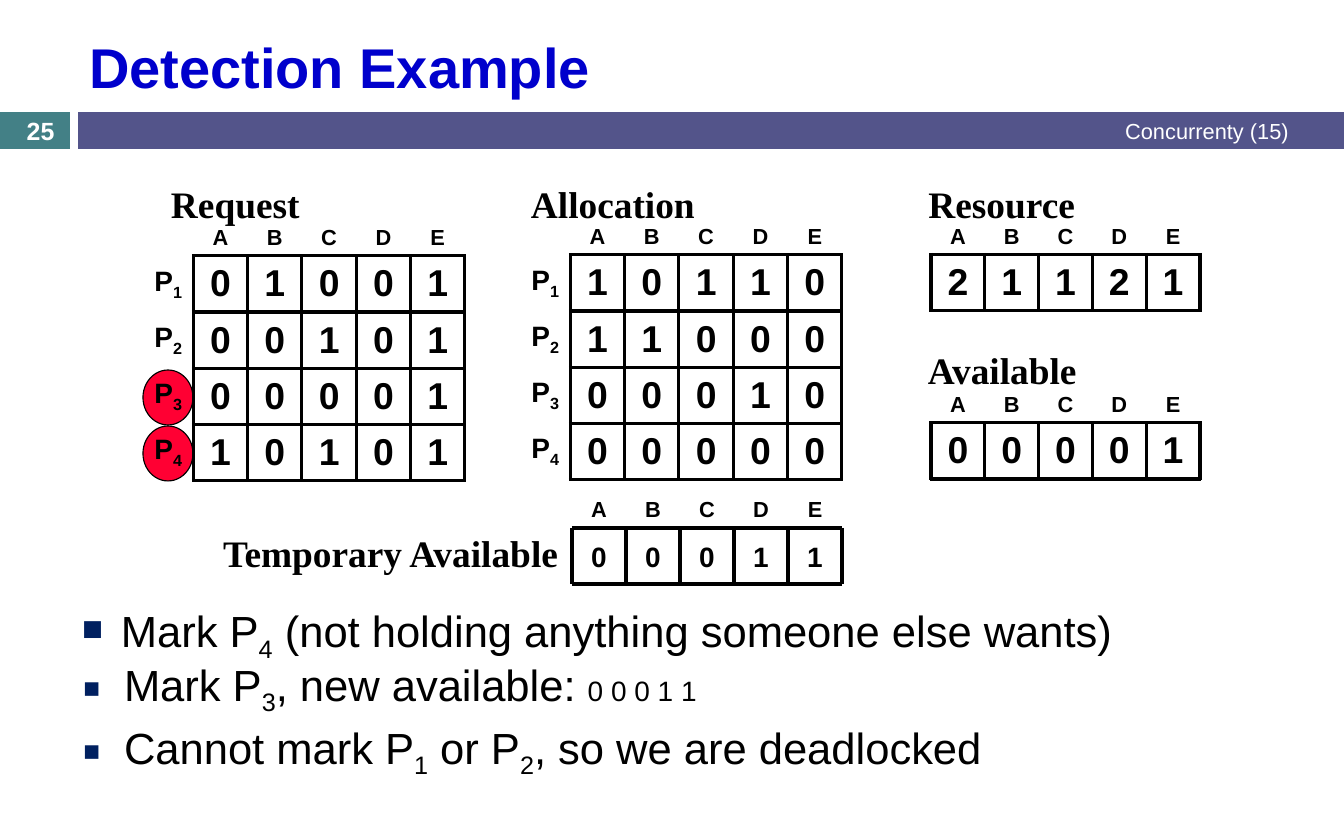
from lxml import etree
from pptx import Presentation
from pptx import util as u
from pptx.dml import color as dml
from pptx.enum import shapes, text
from pptx.oxml import ns

SCALE = 914400 / 112
BLACK, WHITE, NAVY = "000000", "FFFFFF", "002060"
LETTERS = "ABCDE"
LINE_WIDTH = 2.25
NO_STYLE = "{2D5ABB26-0587-4C30-8999-92F81FD0307C}"
LEFT, CENTER, RIGHT = text.PP_ALIGN.LEFT, text.PP_ALIGN.CENTER, text.PP_ALIGN.RIGHT
TOP, MIDDLE, BOTTOM = text.MSO_ANCHOR.TOP, text.MSO_ANCHOR.MIDDLE, text.MSO_ANCHOR.BOTTOM

HEADING = {"name": "Times New Roman", "size": u.Pt(24), "bold": True}
LETTER = {"name": "Arial", "size": u.Pt(14), "bold": True}
PROCESS = {**LETTER, "size": u.Pt(18)}
VALUE = {**LETTER, "size": u.Pt(24)}
BODY = {"name": "Arial", "size": u.Pt(28), "bold": False}


def px(length):
    """Turn px into EMU."""
    return u.Emu(round(length * SCALE))


def rgb(value):
    """Turn a hex string into a colour."""
    return dml.RGBColor.from_string(value)


def add_spans(para, marked, fmt, color=BLACK):
    """Add text to a paragraph, with the parts between ~ marks as subscripts."""
    for index, part in enumerate(marked.split("~")):
        if not part:
            continue
        span = para.add_run()
        span.text = part
        for name, value in fmt.items():
            setattr(span.font, name, value)
        span.font.color.rgb = rgb(color)
        if index % 2:
            span._r.get_or_add_rPr().set("baseline", "-25000")


def fill_frame(frame, marked, fmt, align=LEFT, anchor=TOP, color=BLACK):
    """Write one formatted paragraph in a text frame and return it."""
    frame.word_wrap = True
    frame.vertical_anchor = anchor
    para = frame.paragraphs[0]
    para.alignment = align
    add_spans(para, marked, fmt, color)
    return para


def add_label(parent, box, marked, fmt, align=LEFT, anchor=TOP, color=BLACK):
    """Add a text box and return its paragraph."""
    label = parent.shapes.add_textbox(*map(px, box))
    return fill_frame(label.text_frame, marked, fmt, align, anchor, color)


def add_block(parent, kind, box, fill, line=None):
    """Add a flat filled shape, outlined only when a line colour is given."""
    block = parent.shapes.add_shape(kind, *map(px, box))
    block.shadow.inherit = False
    block.fill.solid()
    block.fill.fore_color.rgb = rgb(fill)
    if line:
        block.line.color.rgb = rgb(line)
        block.line.width = u.Pt(0.75)
    else:
        block.line.fill.background()
    return block


def add_rule(parent, x1, y1, x2, y2):
    """Add a black straight line."""
    rule = parent.shapes.add_connector(
        shapes.MSO_CONNECTOR.STRAIGHT, px(x1), px(y1), px(x2), px(y2))
    rule.line.color.rgb = rgb(BLACK)
    rule.line.width = u.Pt(LINE_WIDTH)
    etree.SubElement(rule._element.spPr, ns.qn("a:effectLst"))


def format_cell(cell, marked, fmt, align, anchor, sides, filled):
    """Write a table cell and draw its borders on the given sides."""
    fill_frame(cell.text_frame, marked, fmt, align, TOP)
    cell.vertical_anchor = anchor
    props = cell._tc.get_or_add_tcPr()
    for side in sides:
        line = etree.SubElement(props, ns.qn("a:ln" + side), w=str(u.Pt(LINE_WIDTH)))
        solid = etree.SubElement(line, ns.qn("a:solidFill"))
        etree.SubElement(solid, ns.qn("a:srgbClr"), val=BLACK)
    if filled:
        cell.fill.solid()
        cell.fill.fore_color.rgb = rgb(WHITE)
    else:
        cell.fill.background()


def add_matrix(page, box, header, rows, with_processes=False):
    """Add a table of values under letters, with process names if wanted."""
    first = int(with_processes)
    columns = len(LETTERS) + first
    frame = page.shapes.add_table(len(rows) + 1, columns, *map(px, box))
    table = frame.table
    table.first_row = table.horz_banding = False
    table._tbl.tblPr.find(ns.qn("a:tableStyleId")).text = NO_STYLE
    for column in table.columns:
        column.width = px(box[2] / columns)
    table.rows[0].height = px(header)
    for column, letter in enumerate(LETTERS, first):
        format_cell(table.cell(0, column), letter, LETTER, CENTER, BOTTOM, "B", False)
    if with_processes:
        format_cell(table.cell(0, 0), "", LETTER, CENTER, BOTTOM, "", False)
    for row, values in enumerate(rows, 1):
        table.rows[row].height = px((box[3] - header) / len(rows))
        if with_processes:
            format_cell(table.cell(row, 0), f"P~{row}~", PROCESS, RIGHT, MIDDLE, "R", False)
        for column, value in enumerate(values, first):
            format_cell(table.cell(row, column), value, VALUE, CENTER, MIDDLE, "LRTB", True)


def add_strip(page, box, values):
    """Add a ruled row of values with a letter above each."""
    left, top, width, height = box
    step = width / len(values)
    group = page.shapes.add_group_shape()
    for index, (letter, value) in enumerate(zip(LETTERS, values)):
        x = left + index * step
        add_label(group, (x, top - 40, step, 39), letter, LETTER, CENTER, BOTTOM)
        block = add_block(group, shapes.MSO_SHAPE.RECTANGLE, (x, top, step, height), WHITE)
        fill_frame(block.text_frame, value, PROCESS, CENTER, MIDDLE)
    for index in range(len(values) + 1):
        x = left + index * step
        add_rule(group, x, top, x, top + height)
    for y in (top, top + height):
        add_rule(group, left, y, left + width, y)


def add_bullet(page, box, marked, char, size, indent, before):
    """Add one bulleted line and return its paragraph."""
    para = add_label(page, box, marked, BODY)
    para.space_before = u.Pt(before)
    props = para._p.get_or_add_pPr()
    props.set("marL", str(px(indent)))
    props.set("indent", str(-px(indent)))
    color = etree.SubElement(props, ns.qn("a:buClr"))
    etree.SubElement(color, ns.qn("a:srgbClr"), val=NAVY)
    etree.SubElement(props, ns.qn("a:buSzPct"), val=str(size * 1000))
    etree.SubElement(props, ns.qn("a:buFont"), typeface="Arial")
    etree.SubElement(props, ns.qn("a:buChar"), char=char)
    return para


def add_header(page):
    """Add the title, the band, the slide number and the chapter name."""
    add_block(page, shapes.MSO_SHAPE.RECTANGLE, (0, 112, 70, 37), "438086")
    add_block(page, shapes.MSO_SHAPE.RECTANGLE, (78, 112, 1266, 37), "53548A")
    title = page.shapes.title
    for name, length in zip(("left", "top", "width", "height"), (78, 21, 1222, 90)):
        setattr(title, name, px(length))
    fill_frame(title.text_frame, "Detection Example", {**LETTER, "size": u.Pt(36)},
               LEFT, MIDDLE, "0000CC")
    add_label(page, (504, 111, 796, 39), "Concurrenty (15)", {**BODY, "size": u.Pt(14)},
              RIGHT, MIDDLE, WHITE)
    add_label(page, (0, 114, 81, 34), "25", {**LETTER, "size": u.Pt(16)},
              CENTER, MIDDLE, WHITE)


def add_matrices(page):
    """Add the marked processes, the headings and the tables."""
    for y in (370, 426):
        add_block(page, shapes.MSO_SHAPE.OVAL, (143, y, 50, 55), "FF0033", BLACK)
    for x, y, width, name, align in (
            (160, 176, 197, "Request", LEFT), (520, 176, 197, "Allocation", LEFT),
            (892, 176, 194, "Resource", RIGHT), (917, 342, 194, "Available", LEFT),
            (190, 525, 379, "Temporary Available", RIGHT)):
        add_label(page, (x, y, width, 56), name, HEADING, align)
    add_matrix(page, (139, 207, 326, 273), 49, ("01001", "00101", "00001", "10101"), True)
    add_matrix(page, (516, 207, 326, 272), 48, ("10110", "11000", "00010", "00000"), True)
    add_matrix(page, (931, 217, 269, 93), 37, ("21121",))
    add_matrix(page, (931, 382, 269, 97), 41, ("00001",))
    add_strip(page, (572, 528, 270, 56), "00011")


def add_steps(page):
    """Add the bulleted steps of the detection."""
    first = add_bullet(page, (71, 599, 1231, 53),
                       "Mark P~4~ (not holding anything someone else wants)", "■", 80, 39, 7)
    first.line_spacing = 0.9
    second = add_bullet(page, (71, 652, 1124, 63), "Mark P~3~, new available: ",
                        "▪", 125, 42, 3.6)
    add_spans(second, "0 0 0 1 1", {**BODY, "size": u.Pt(18)})
    add_bullet(page, (71, 715, 1124, 73), "Cannot mark P~1~ or P~2~, so we are deadlocked",
               "▪", 125, 42, 3.6)


def main():
    """Build the deck and save it."""
    deck = Presentation()
    deck.slide_width, deck.slide_height = px(1344), px(840)
    page = deck.slides.add_slide(deck.slide_layouts[5])
    add_header(page)
    add_matrices(page)
    add_steps(page)
    deck.save("out.pptx")


if __name__ == "__main__":
    main()
